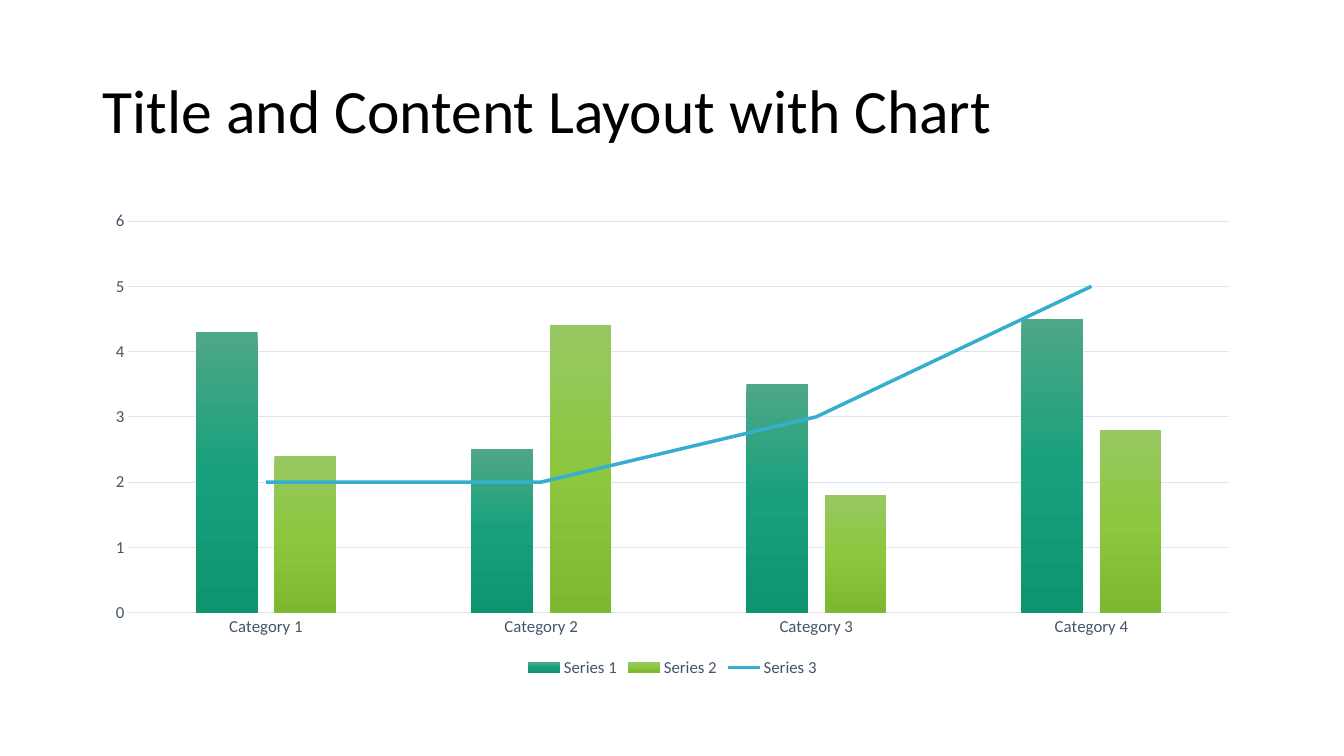
import pptx
import pptx.chart.data
import pptx.dml.color
import pptx.enum.chart
import pptx.enum.text
import pptx.oxml
import pptx.oxml.ns
import pptx.util

COLORS = {
    "title": "000000",
    "label": "44546A",
    "grid": "E0E5EB",
    "trend": "36AFCE",
}
GRADIENTS = {
    "Series 1": ("4EA788", "17A07B", "0F9470"),
    "Series 2": ("98C862", "8CC73F", "7DB831"),
}
CATEGORIES = [f"Category {number}" for number in range(1, 5)]
SERIES = {
    "Series 1": (4.3, 2.5, 3.5, 4.5),
    "Series 2": (2.4, 4.4, 1.8, 2.8),
    "Series 3": (2, 2, 3, 5),
}
qn = pptx.oxml.ns.qn


def rgb(name):
    return pptx.dml.color.RGBColor.from_string(COLORS.get(name, name))


def style_font(font, size, color):
    font.name = "Calibri"
    font.size = pptx.util.Pt(size)
    font.bold = False
    font.color.rgb = rgb(color)


def write_text(frame, text, size=12, color="label", spacing=1.0,
               align=pptx.enum.text.PP_ALIGN.LEFT):
    paragraph = frame.paragraphs[0]
    paragraph.alignment = align
    paragraph.line_spacing = spacing
    run = paragraph.add_run()
    run.text = text
    style_font(run.font, size, color)


def style_line(line, color, width):
    line.color.rgb = rgb(color)
    line.width = pptx.util.Pt(width)


def fill_downward(series, colors):
    """Fill bars from top to bottom with evenly spaced gradient stops."""
    fill = series.format.fill
    fill.gradient()
    fill.gradient_angle = 270
    stops = series._element.find(".//" + qn("a:gsLst"))
    for stop in list(stops):
        stops.remove(stop)
    for index, color in enumerate(colors):
        position = 100000 * index // (len(colors) - 1)
        stops.append(pptx.oxml.parse_xml(
            f'<a:gs {pptx.oxml.ns.nsdecls("a")} pos="{position}">'
            f'<a:srgbClr val="{color}"/></a:gs>'))


def move_last_series_to_line(chart):
    """Draw the last column series as a line on the same axes."""
    bars = chart.plots[0]._element
    series = bars.findall(qn("c:ser"))[-1]
    for bar_only in series.findall(qn("c:invertIfNegative")):
        series.remove(bar_only)
    axes = "".join(f'<c:axId val="{axis.get("val")}"/>'
                   for axis in bars.findall(qn("c:axId")))
    lines = pptx.oxml.parse_xml(
        f'<c:lineChart {pptx.oxml.ns.nsdecls("c")}><c:grouping val="standard"/>'
        f'<c:varyColors val="0"/><c:marker val="1"/>{axes}</c:lineChart>')
    lines.insert(2, series)
    bars.addnext(lines)
    return chart.plots[1].series[0]


class ChartSlide:
    def __init__(self, presentation):
        self.width = presentation.slide_width
        self.height = presentation.slide_height
        self.slide = presentation.slides.add_slide(presentation.slide_layouts[5])

    def box(self, left, top, width, height):
        """Turn shares of the slide's size into lengths."""
        return (int(left * self.width), int(top * self.height),
                int(width * self.width), int(height * self.height))

    def title(self, text, *shares):
        shape = self.slide.shapes.title
        shape.left, shape.top, shape.width, shape.height = self.box(*shares)
        frame = shape.text_frame
        frame.word_wrap = True
        frame.auto_size = pptx.enum.text.MSO_AUTO_SIZE.NONE
        frame.vertical_anchor = pptx.enum.text.MSO_ANCHOR.MIDDLE
        write_text(frame, text, size=44, color="title", spacing=0.9)

    def combined_chart(self, categories, values_by_name, *shares):
        data = pptx.chart.data.CategoryChartData()
        data.categories = categories
        for name, values in values_by_name.items():
            data.add_series(name, values)
        chart = self.slide.shapes.add_chart(
            pptx.enum.chart.XL_CHART_TYPE.COLUMN_CLUSTERED,
            *self.box(*shares), data).chart
        chart.has_title = False
        style_font(chart.font, 10, "title")
        self.bars_and_line(chart)
        self.axes(chart)
        chart.has_legend = True
        chart.legend.position = pptx.enum.chart.XL_LEGEND_POSITION.BOTTOM
        chart.legend.include_in_layout = False
        style_font(chart.legend.font, 12, "label")

    def bars_and_line(self, chart):
        trend = move_last_series_to_line(chart)
        trend.smooth = False
        trend.marker.style = pptx.enum.chart.XL_MARKER_STYLE.NONE
        style_line(trend.format.line, "trend", 2.5)
        bars = chart.plots[0]
        bars.vary_by_categories = False
        bars.gap_width = 219
        bars.overlap = -27
        for series in bars.series:
            fill_downward(series, GRADIENTS[series.name])

    def axes(self, chart):
        for axis in (chart.category_axis, chart.value_axis):
            axis.major_tick_mark = pptx.enum.chart.XL_TICK_MARK.NONE
            axis.minor_tick_mark = pptx.enum.chart.XL_TICK_MARK.NONE
            style_font(axis.tick_labels.font, 12, "label")
        style_line(chart.category_axis.format.line, "grid", 0.75)
        values = chart.value_axis
        values.minimum_scale, values.maximum_scale, values.major_unit = 0, 6, 1
        values.format.line.fill.background()
        values.has_major_gridlines = True
        style_line(values.major_gridlines.format.line, "grid", 0.75)


def main():
    presentation = pptx.Presentation()
    presentation.slide_width = pptx.util.Inches(13.33)
    presentation.slide_height = pptx.util.Inches(7.5)
    margin = 0.92 / 13.33
    content_width = 11.5 / 13.33
    slide = ChartSlide(presentation)
    slide.title("Title and Content Layout with Chart",
                margin, 0.4 / 7.5, content_width, 1.45 / 7.5)
    slide.combined_chart(CATEGORIES, SERIES,
                         margin, 2 / 7.5, content_width, 4.76 / 7.5)
    presentation.save("out.pptx")


if __name__ == "__main__":
    main()
